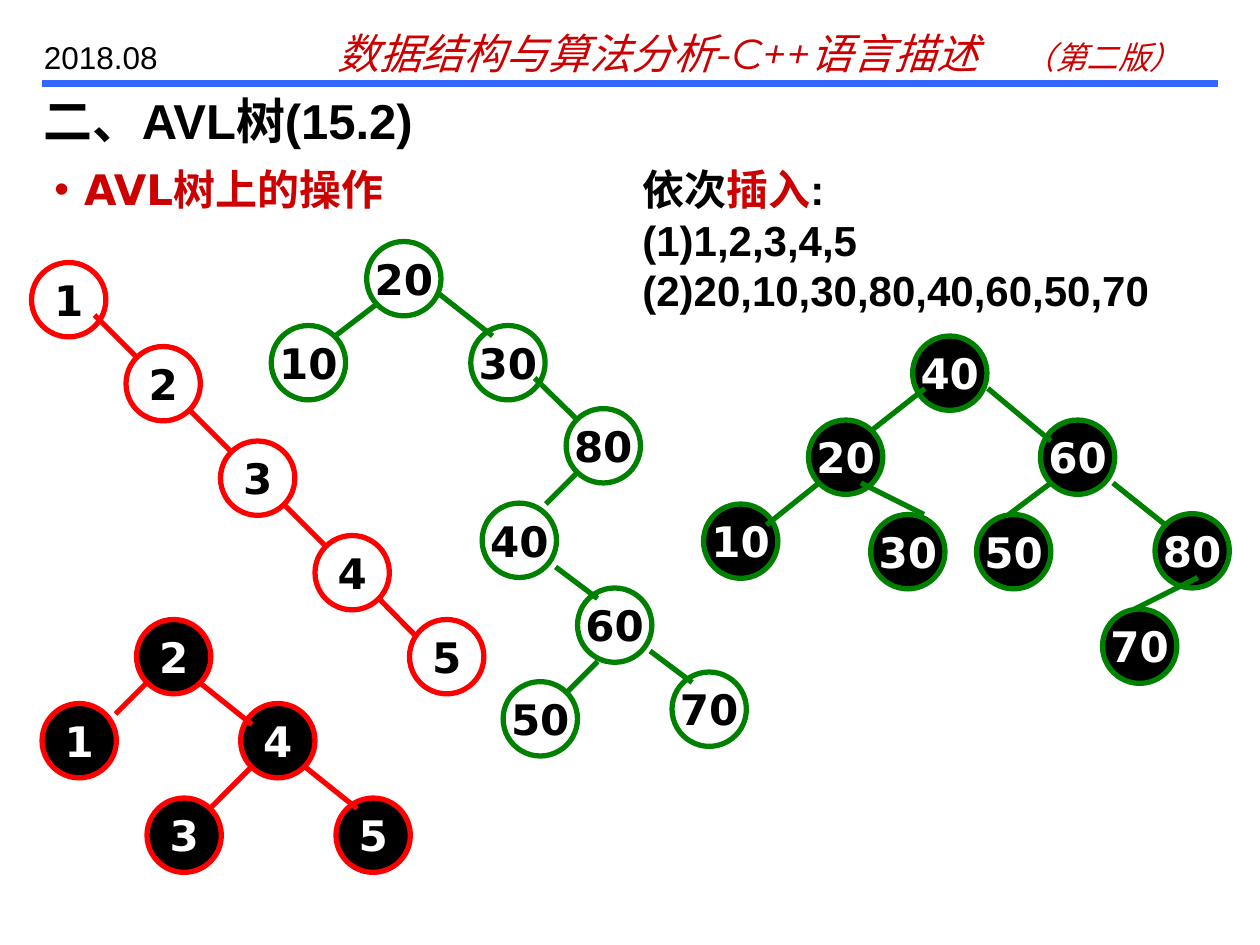
"""Build the AVL tree insertion slide."""
import itertools
from dataclasses import dataclass

import pptx
import pptx.dml.color
import pptx.enum.shapes
import pptx.enum.text
import pptx.oxml
import pptx.oxml.ns
import pptx.util

Pt = pptx.util.Pt


@dataclass(frozen=True)
class Theme:
    black: str = "000000"
    white: str = "FFFFFF"
    accent: str = "CC0000"
    rule: str = "3366FF"
    red: str = "FF0000"
    green: str = "008000"
    title: int = 28
    body: int = 24
    small: int = 18
    sans: str = "Arial"
    node: str = "DejaVu Sans"
    header: str = "Montserrat"


THEME = Theme()
NODE_SIZE = 42.5
STROKE = 3
EDITION_TAB = 392
BULLET_INDENT = 17

HEADER_RULE = (24, 48, 696, 48)
BOXES = [
    dict(at=(186, 12, 504, 36), font=THEME.header, size=THEME.body, italic=True, tab=EDITION_TAB,
         paras=[[("数据结构与算法分析-C++语言描述\t", THEME.accent, THEME.body),
                 ("（第二版）", THEME.accent, THEME.small)]]),
    dict(at=(18, 18, 102, 29), font=THEME.sans, size=THEME.small,
         paras=[[("2018.08", THEME.black)]]),
    dict(at=(24, 90, 696, 36), font=THEME.node, size=THEME.body, bold=True, bullet="•",
         paras=[[("AVL树上的操作", THEME.accent)]]),
    dict(at=(18, 48, 702, 36), font=THEME.sans, size=THEME.title, bold=True,
         paras=[[("二、AVL树(15.2)", THEME.black)]]),
    dict(at=(360, 90, 360, 94), font=THEME.sans, size=THEME.body, bold=True,
         paras=[[("依次", THEME.black), ("插入", THEME.accent), (":", THEME.black)],
                [("(1)1,2,3,4,5", THEME.black)],
                [("(2)20,10,30,80,40,60,50,70", THEME.black)]]),
]

TREES = [
    dict(line=THEME.green, fill=THEME.white, text=THEME.black,
         nodes=[("20", 209.5, 138), ("30", 269, 186), ("80", 323.5, 233.5), ("10", 155, 186),
                ("40", 275.5, 287.5), ("60", 330, 336), ("70", 384, 384), ("50", 287.5, 389.5)],
         edges=[(215, 174, 191.5, 192), (251, 168, 281.5, 192), (305.5, 216, 330, 240),
                (330, 270, 312, 288), (317.5, 324, 341.5, 342), (371.5, 372, 395.5, 390),
                (341.5, 378, 323.5, 396)]),
    dict(line=THEME.red, fill=THEME.white, text=THEME.black, interleaved=True,
         nodes=[("1", 18, 150), ("2", 72, 198), ("3", 126, 252), ("4", 180, 306),
                ("5", 234, 354)],
         edges=[(54, 180, 84, 210), (108, 234, 138, 264), (162, 288, 192, 318),
                (216.5, 342, 246, 372)]),
    dict(line=THEME.red, fill=THEME.black, text=THEME.white,
         nodes=[("2", 78, 354), ("1", 24, 402), ("3", 84, 456), ("4", 137.5, 402),
                ("5", 192, 456)],
         edges=[(84, 390, 66, 408), (114, 390, 144, 414), (144, 438, 120, 462),
                (174, 438, 204, 462)]),
    dict(line=THEME.green, fill=THEME.black, text=THEME.white,
         nodes=[("20", 462, 240), ("30", 497.5, 294), ("80", 660, 293.5), ("10", 402, 288),
                ("40", 521.5, 192), ("60", 594.5, 240), ("70", 630, 348), ("50", 558, 294)],
         edges=[(528.5, 222, 498, 246), (468, 276, 438, 300), (564.5, 222, 600.5, 252),
                (636, 276, 666, 300), (600.5, 276, 576.5, 294), (492, 276, 528, 294),
                (684.5, 330, 648.5, 348)]),
]


def rgb(value):
    """Turn a hex value into a colour."""
    return pptx.dml.color.RGBColor.from_string(value)


def points(values):
    """Turn numbers into lengths."""
    return [Pt(value) for value in values]


def add_xml(parent, tag, **attributes):
    """Append a drawing element to its parent."""
    child = pptx.oxml.parse_xml(f'<a:{tag} {pptx.oxml.ns.nsdecls("a")}/>')
    for name, value in attributes.items():
        child.set(name, str(value))
    parent.append(child)
    return child


def add_line(shapes, ends, color, width):
    """Draw a straight line without a shadow."""
    line = shapes.add_connector(pptx.enum.shapes.MSO_CONNECTOR.STRAIGHT, *points(ends))
    line.line.color.rgb = rgb(color)
    line.line.width = Pt(width)
    add_xml(line._element.spPr, "effectLst")


def add_node(shapes, node, tree):
    """Draw one labelled tree node."""
    label, left, top = node
    circle = shapes.add_shape(pptx.enum.shapes.MSO_SHAPE.OVAL,
                              *points((left, top, NODE_SIZE, NODE_SIZE)))
    circle.shadow.inherit = False
    circle.fill.solid()
    circle.fill.fore_color.rgb = rgb(tree["fill"])
    circle.line.color.rgb = rgb(tree["line"])
    circle.line.width = Pt(STROKE)
    frame = circle.text_frame
    frame.word_wrap = False
    frame.vertical_anchor = pptx.enum.text.MSO_ANCHOR.MIDDLE
    para = frame.paragraphs[0]
    para.text = label
    para.alignment = pptx.enum.text.PP_ALIGN.CENTER
    para.font.name = THEME.node
    para.font.size = Pt(THEME.body)
    para.font.bold = True
    para.font.color.rgb = rgb(tree["text"])


def add_tree(page, tree):
    """Draw a tree as one group of nodes and edges."""
    shapes = page.shapes.add_group_shape().shapes
    if tree.get("interleaved"):
        steps = itertools.zip_longest(tree["nodes"], tree["edges"])
    else:
        steps = [(node, None) for node in tree["nodes"]] + [(None, edge) for edge in tree["edges"]]
    for node, edge in steps:
        if node:
            add_node(shapes, node, tree)
        if edge:
            add_line(shapes, edge, tree["line"], STROKE)


def add_box(page, content):
    """Place a text box with its paragraphs."""
    box = page.shapes.add_textbox(*points(content["at"]))
    frame = box.text_frame
    frame.word_wrap = True
    frame.auto_size = pptx.enum.text.MSO_AUTO_SIZE.SHAPE_TO_FIT_TEXT
    for index, spans in enumerate(content["paras"]):
        para = frame.add_paragraph() if index else frame.paragraphs[0]
        properties = para._p.get_or_add_pPr()
        if "bullet" in content:
            properties.set("marL", str(Pt(BULLET_INDENT)))
            properties.set("indent", str(-Pt(BULLET_INDENT)))
            add_xml(add_xml(properties, "buClr"), "srgbClr", val=THEME.accent)
            add_xml(properties, "buFont", typeface=THEME.sans)
            add_xml(properties, "buChar", char=content["bullet"])
        if "tab" in content:
            add_xml(add_xml(properties, "tabLst"), "tab", pos=Pt(content["tab"]), algn="l")
        para.font.name = content["font"]
        para.font.size = Pt(content["size"])
        para.font.bold = content.get("bold", False)
        para.font.italic = content.get("italic", False)
        for text, color, *size in spans:
            span = para.add_run()
            span.text = text
            span.font.color.rgb = rgb(color)
            if size:
                span.font.size = Pt(size[0])


def main():
    """Build and save the deck."""
    deck = pptx.Presentation()
    deck.slide_width, deck.slide_height = Pt(720), Pt(540)
    page = deck.slides.add_slide(deck.slide_layouts[6])
    add_line(page.shapes, HEADER_RULE, THEME.rule, 4)
    for content in BOXES:
        add_box(page, content)
    for tree in TREES:
        add_tree(page, tree)
    deck.save("out.pptx")


if __name__ == "__main__":
    main()
